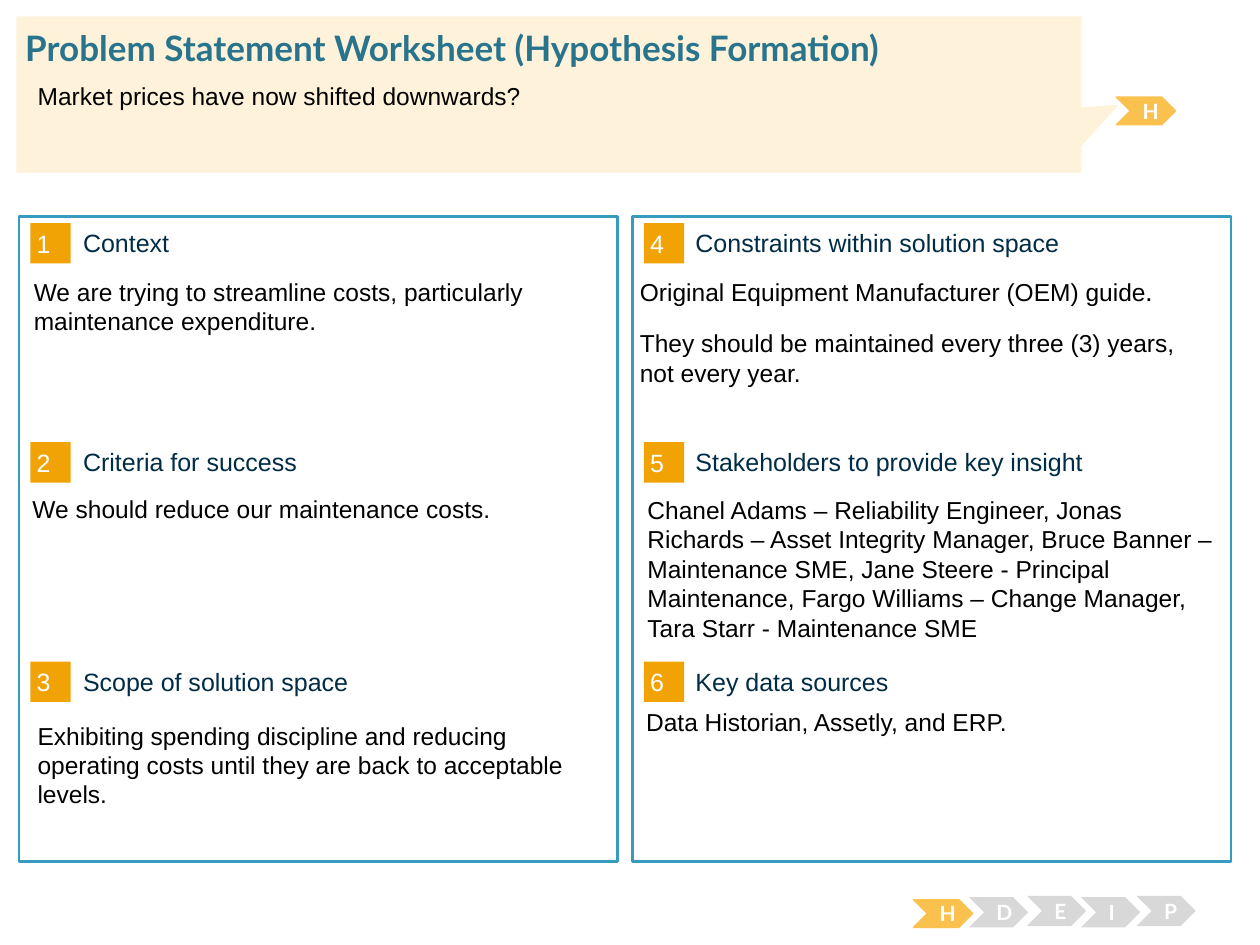
from pptx import Presentation
from pptx.dml.color import RGBColor
from pptx.enum.shapes import MSO_SHAPE as SHAPE
from pptx.enum.text import MSO_ANCHOR as ANCHOR, MSO_AUTO_SIZE as AUTO, PP_ALIGN as ALIGN
from pptx.util import Inches, Pt

COLORS = {
    "white": "FFFFFF", "black": "000000", "navy": "002C46", "teal": "29748D",
    "frame": "379BBD", "orange": "F1A205", "active": "FBC14E",
    "idle": "D8D8D8", "cream": "FEF2DA",
}
PANEL_X = (0.15, 5.02)
BADGE_X = (0.24, 5.11)
HEADING_X = (0.66, 5.52)
FIRST_ROW_Y, ROW_STEP = 1.77, 1.74

SECTIONS = [
    ("Context", 0.17, 2.15, 1.36,
     [["We are trying to streamline costs, particularly maintenance expenditure."]]),
    ("Criteria for success", 0.16, 3.87, 1.54,
     [["We should reduce our maintenance costs."]]),
    ("Scope of solution space", 0.2, 5.67, 0.82,
     [["Exhibiting spending discipline and reducing operating costs until they "
       "are back to acceptable levels."]]),
    ("Constraints within solution space", 4.98, 2.15, 1.18,
     [["Original Equipment Manufacturer (OEM) guide", "."],
      ["They should be maintained every three (3) years, not every year."]]),
    ("Stakeholders to provide key insight", 5.04, 3.88, 1.18,
     [["Chanel Adams – Reliability Engineer, Jonas Richards – Asset Integrity "
       "Manager, Bruce Banner – Maintenance SME, Jane Steere - Principal "
       "Maintenance, Fargo Williams – Change Manager, Tara Starr - Maintenance SME"]]),
    ("Key data sources", 5.03, 5.56, 1.18,
     [["Data Historian, Assetly, and ERP."]]),
]
STAGES = [("H", 7.25, 7.14), ("D", 7.69, 7.12), ("E", 8.15, 7.11),
          ("I", 8.58, 7.12), ("P", 9.02, 7.11)]


def rgb(name):
    """Look up a palette colour."""
    return RGBColor.from_string(COLORS[name])


def add_run(p, text, size, color, font="Arial", bold=False):
    """Append a formatted run to a paragraph."""
    r = p.add_run()
    r.text = text
    r.font.size, r.font.name, r.font.bold = Pt(size), font, bold
    r.font.color.rgb = rgb(color)


def set_frame(tf, inset_x, inset_y, anchor):
    """Set wrapping, margins and anchor of a text frame."""
    tf.word_wrap = True
    tf.auto_size = AUTO.NONE
    tf.vertical_anchor = anchor
    tf.margin_left = tf.margin_right = Inches(inset_x)
    tf.margin_top = tf.margin_bottom = Inches(inset_y)


def add_block(s, kind, box, fill, line=None, width=0.75):
    """Add a filled preset shape with an optional outline."""
    sp = s.shapes.add_shape(kind, *map(Inches, box))
    sp.shadow.inherit = False
    sp.fill.solid()
    sp.fill.fore_color.rgb = rgb(fill)
    if line:
        sp.line.color.rgb = rgb(line)
        sp.line.width = Pt(width)
    else:
        sp.line.fill.background()
    return sp


def add_badge(s, number, x, y):
    """Add a numbered square."""
    tf = add_block(s, SHAPE.RECTANGLE, (x, y, 0.32, 0.32), "orange").text_frame
    set_frame(tf, 0.05, 0.05, ANCHOR.MIDDLE)
    p = tf.paragraphs[0]
    p.alignment = ALIGN.LEFT
    add_run(p, str(number), 14.3, "white")


def add_heading(s, text, x, y):
    """Add a section heading."""
    tf = s.shapes.add_textbox(*map(Inches, (x, y, 3.93, 0.25))).text_frame
    set_frame(tf, 0, 0, ANCHOR.MIDDLE)
    add_run(tf.paragraphs[0], text, 14.3, "navy")


def add_answer(s, paragraphs, box):
    """Add body text, with a lone full stop set small and bold."""
    tf = s.shapes.add_textbox(*map(Inches, box)).text_frame
    set_frame(tf, 0.1, 0.05, ANCHOR.TOP)
    for i, runs in enumerate(paragraphs):
        p = tf.add_paragraph() if i else tf.paragraphs[0]
        if i:
            p.space_before = Pt(12.5)
        for text in runs:
            stop = text == "."
            add_run(p, text, 10.7 if stop else 14, "black", bold=stop)


def add_stage(s, letter, x, y):
    """Add a stage chevron, highlighted for the current stage H."""
    active = letter == "H"
    box = (x, y, 0.47, 0.22 if active else 0.24)
    fill, line = ("active", "active") if active else ("idle", None)
    tf = add_block(s, SHAPE.CHEVRON, box, fill, line).text_frame
    set_frame(tf, 0.1, 0.05, ANCHOR.MIDDLE)
    p = tf.paragraphs[0]
    p.alignment = ALIGN.CENTER
    add_run(p, letter, 12, "white", "Lato", True)


def add_title(s, text):
    """Fill the title placeholder and bring it above the callout."""
    sp = s.shapes.title
    sp.left, sp.top, sp.width, sp.height = map(Inches, (0.2, 0.21, 9.62, 0.34))
    set_frame(sp.text_frame, 0, 0, ANCHOR.MIDDLE)
    p = sp.text_frame.paragraphs[0]
    p.alignment = ALIGN.LEFT
    add_run(p, text, 20, "teal", "Lato", True)
    s.shapes.element.append(sp.element)


def main():
    """Build the worksheet slide."""
    prs = Presentation()
    prs.slide_width, prs.slide_height = Inches(10), Inches(7.5)
    s = prs.slides.add_slide(prs.slide_layouts[5])
    for x in PANEL_X:
        add_block(s, SHAPE.RECTANGLE, (x, 1.72, 4.75, 5.12), "white", "frame", 1.5)
    for i, (heading, x, y, height, paragraphs) in enumerate(SECTIONS):
        col, row = divmod(i, 3)
        top = FIRST_ROW_Y + row * ROW_STEP
        add_badge(s, i + 1, BADGE_X[col], top)
        add_heading(s, heading, HEADING_X[col], top + 0.03)
        add_answer(s, paragraphs, (x, y, 4.73, height))
    for stage in STAGES + [("H", 8.86, 0.77)]:
        add_stage(s, *stage)
    callout = add_block(s, SHAPE.RECTANGULAR_CALLOUT, (0.13, 0.13, 8.45, 1.24), "cream")
    callout.adjustments[0], callout.adjustments[1] = 0.535, 0.066
    add_title(s, "Problem Statement Worksheet (Hypothesis Formation)")
    add_answer(s, [["Market prices have now shifted downwards?"]], (0.2, 0.59, 9.39, 0.54))
    prs.save("out.pptx")


if __name__ == "__main__":
    main()
